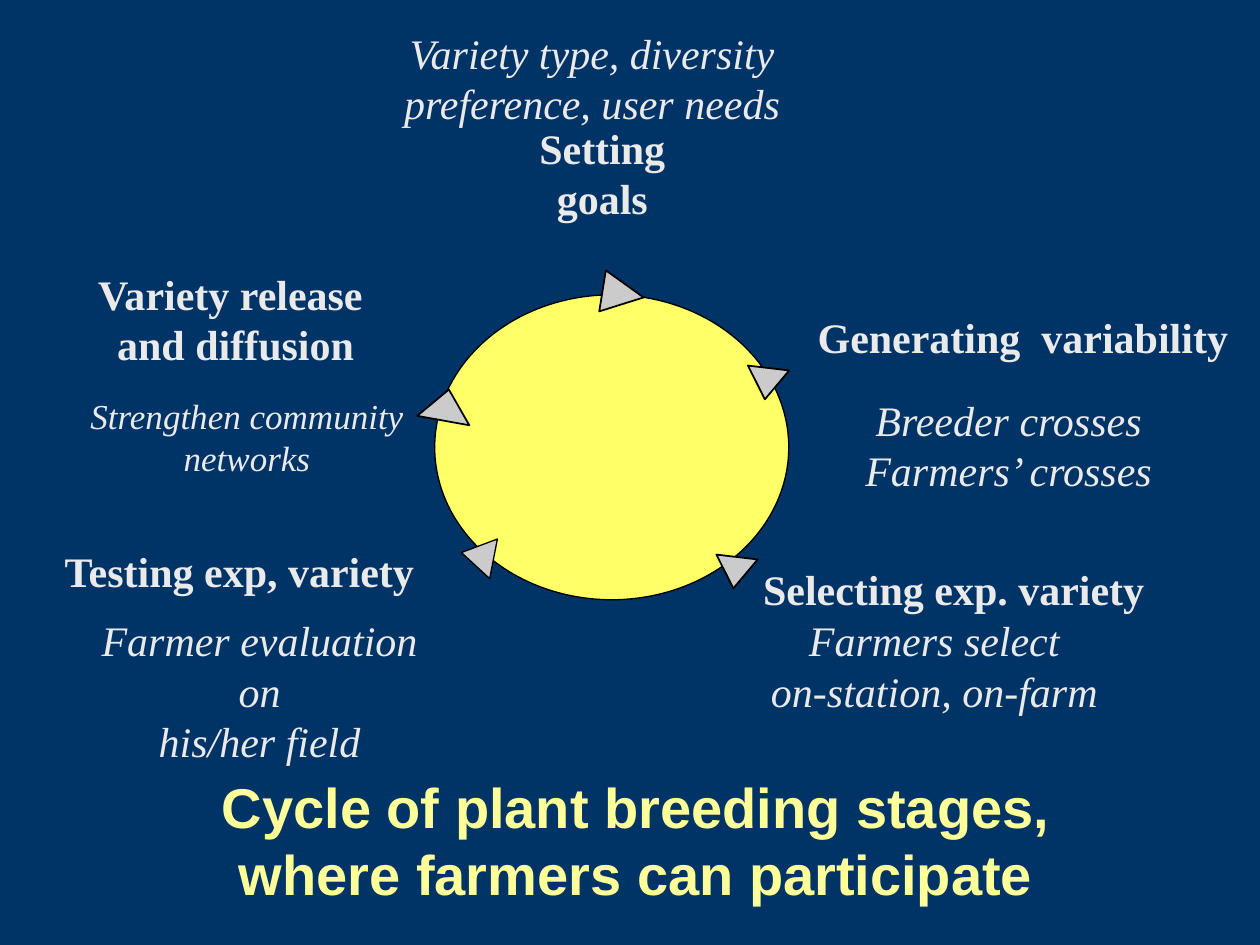
from dataclasses import dataclass

from pptx import Presentation
from pptx import util as u
from pptx.dml.color import RGBColor
from pptx.enum import shapes, text

COLUMNS, ROWS = 100, 75
CELL = u.Inches(0.1)


@dataclass(frozen=True)
class Theme:
    background: str = "003366"
    label: str = "EAEAEA"
    title: str = "FFFF99"
    cycle: str = "FFFF66"
    marker: str = "CBCBCB"
    outline: str = "000000"
    label_font: str = "Times New Roman"
    title_font: str = "Arial"
    title_size: int = 32
    label_size: int = 24
    small_size: int = 20


THEME = Theme()
STAGE_STYLE = {"name": THEME.label_font, "size": THEME.label_size, "color": THEME.label}
HEADING = STAGE_STYLE | {"bold": True}
DETAIL = STAGE_STYLE | {"italic": True}
SMALL_DETAIL = DETAIL | {"size": THEME.small_size}
TITLE = {"name": THEME.title_font, "size": THEME.title_size, "color": THEME.title, "bold": True}

STAGES = [
    [((38.9, 9.2, 17.8, 9), ["Setting goals"], HEADING),
     ((30.7, 1.7, 32.6, 9), ["Variety type, diversity", "preference, user needs"], DETAIL)],
    [((63.2, 24.2, 36.8, 5), ["Generating  variability "], HEADING),
     ((64.2, 30.8, 31.7, 9), ["Breeder crosses", "Farmers’ crosses"], DETAIL)],
    [((55.9, 44.2, 39.6, 5), ["Selecting exp. variety"], HEADING),
     ((60.2, 48.3, 27.9, 9), ["Farmers select", "on-station, on-farm"], DETAIL)],
    [((6.6, 20.8, 24.2, 9), ["Variety release ", "and diffusion"], HEADING),
     ((2.5, 30.8, 34.2, 7.7), ["Strengthen community networks"], SMALL_DETAIL)],
    [((4, 42.8, 30, 5), ["Testing exp, variety"], HEADING),
     ((5, 48.3, 31.2, 9), ["Farmer evaluation on", "his/her field"], DETAIL)],
]

MARKERS = [
    ((36.3, 42.8, 3.2, 2.6), 281.1, 0.75),
    ((33.3, 30.9, 4.2, 2.5), 10.3, 1),
    ((47.8, 21.7, 3.3, 3.3), 99.1, 1),
    ((56.7, 44.2, 3.3, 2.5), 186.7, 1),
    ((59.2, 29.2, 3.3, 2.5), 186.7, 1),
]


def on_grid(cells):
    return [round(cell * CELL) for cell in cells]


def write_lines(frame, lines, style):
    settings = {"word_wrap": True, "auto_size": text.MSO_AUTO_SIZE.NONE,
                "vertical_anchor": text.MSO_ANCHOR.TOP}
    for name, value in settings.items():
        setattr(frame, name, value)
    font_values = style | {"size": u.Pt(style["size"])}
    color = font_values.pop("color")
    for index, line in enumerate(lines):
        paragraph = frame.add_paragraph() if index else frame.paragraphs[0]
        paragraph.alignment = text.PP_ALIGN.CENTER
        run = paragraph.add_run()
        run.text = line
        for name, value in font_values.items():
            setattr(run.font, name, value)
        run.font.color.rgb = RGBColor.from_string(color)


def add_title(slide, cells, lines):
    title = slide.shapes.title
    title.left, title.top, title.width, title.height = on_grid(cells)
    write_lines(title.text_frame, lines, TITLE)


def add_stage(slide, labels):
    group = slide.shapes.add_group_shape()
    for cells, lines, style in labels:
        box = group.shapes.add_textbox(*on_grid(cells))
        write_lines(box.text_frame, lines, style)


def add_outlined(parent, kind, cells, fill, weight, rotation=0):
    shape = parent.shapes.add_shape(kind, *on_grid(cells))
    shape.shadow.inherit = False
    shape.rotation = rotation
    shape.fill.solid()
    shape.fill.fore_color.rgb = RGBColor.from_string(fill)
    shape.line.color.rgb = RGBColor.from_string(THEME.outline)
    shape.line.width = u.Pt(weight)


def add_cycle(slide):
    add_outlined(slide, shapes.MSO_SHAPE.OVAL, (34.5, 23.4, 28.1, 24.2), THEME.cycle, 0.75)
    group = slide.shapes.add_group_shape()
    for cells, rotation, weight in MARKERS:
        add_outlined(group, shapes.MSO_SHAPE.ISOSCELES_TRIANGLE, cells,
                     THEME.marker, weight, rotation)


def main():
    presentation = Presentation()
    presentation.slide_width = COLUMNS * CELL
    presentation.slide_height = ROWS * CELL
    slide = presentation.slides.add_slide(presentation.slide_layouts.get_by_name("Title Only"))
    slide.background.fill.solid()
    slide.background.fill.fore_color.rgb = RGBColor.from_string(THEME.background)
    for labels in STAGES:
        add_stage(slide, labels)
    add_title(slide, (16.6, 60.8, 67.8, 11.7),
              ["Cycle of plant breeding stages,", " where farmers can participate "])
    add_cycle(slide)
    presentation.save("out.pptx")


if __name__ == "__main__":
    main()
